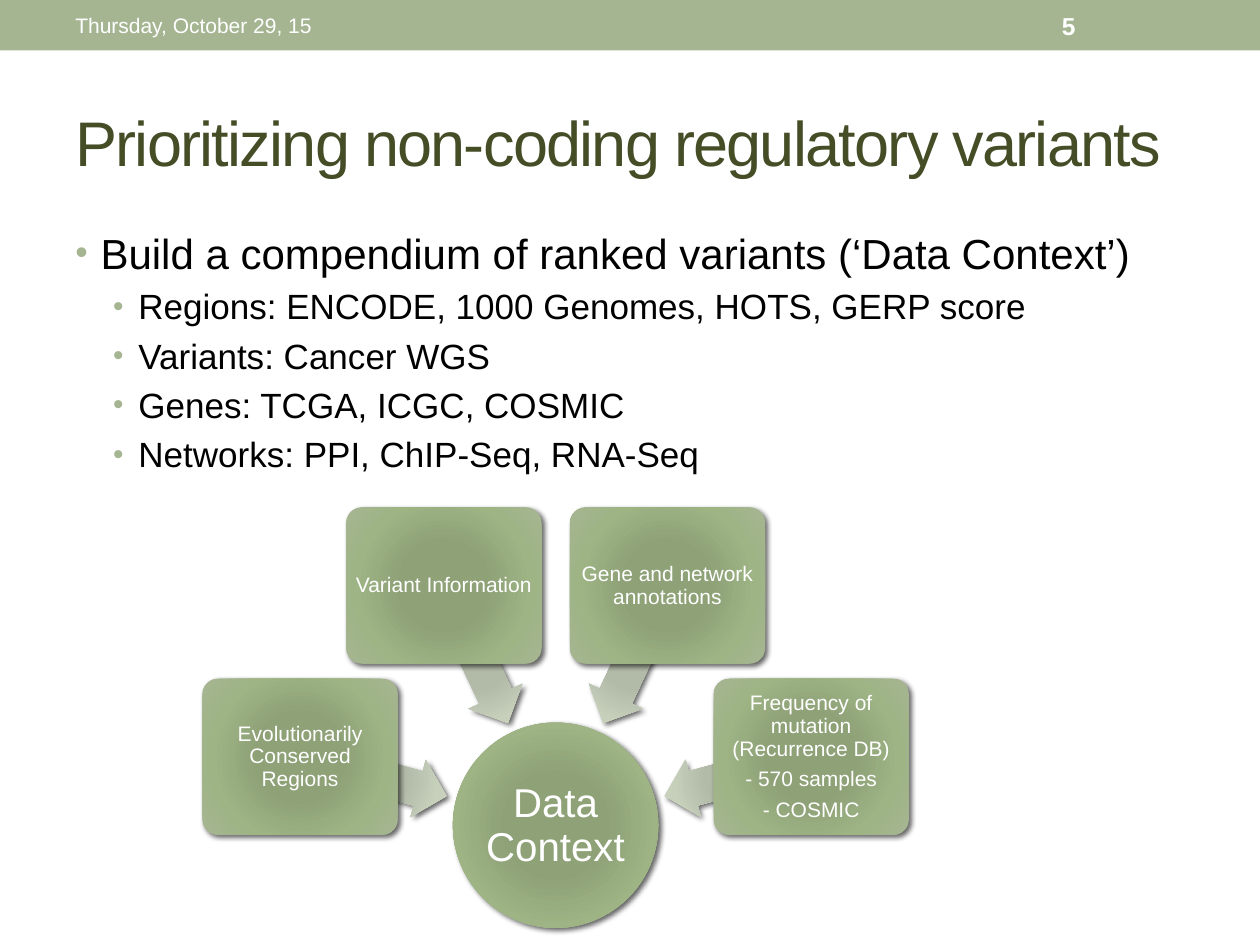
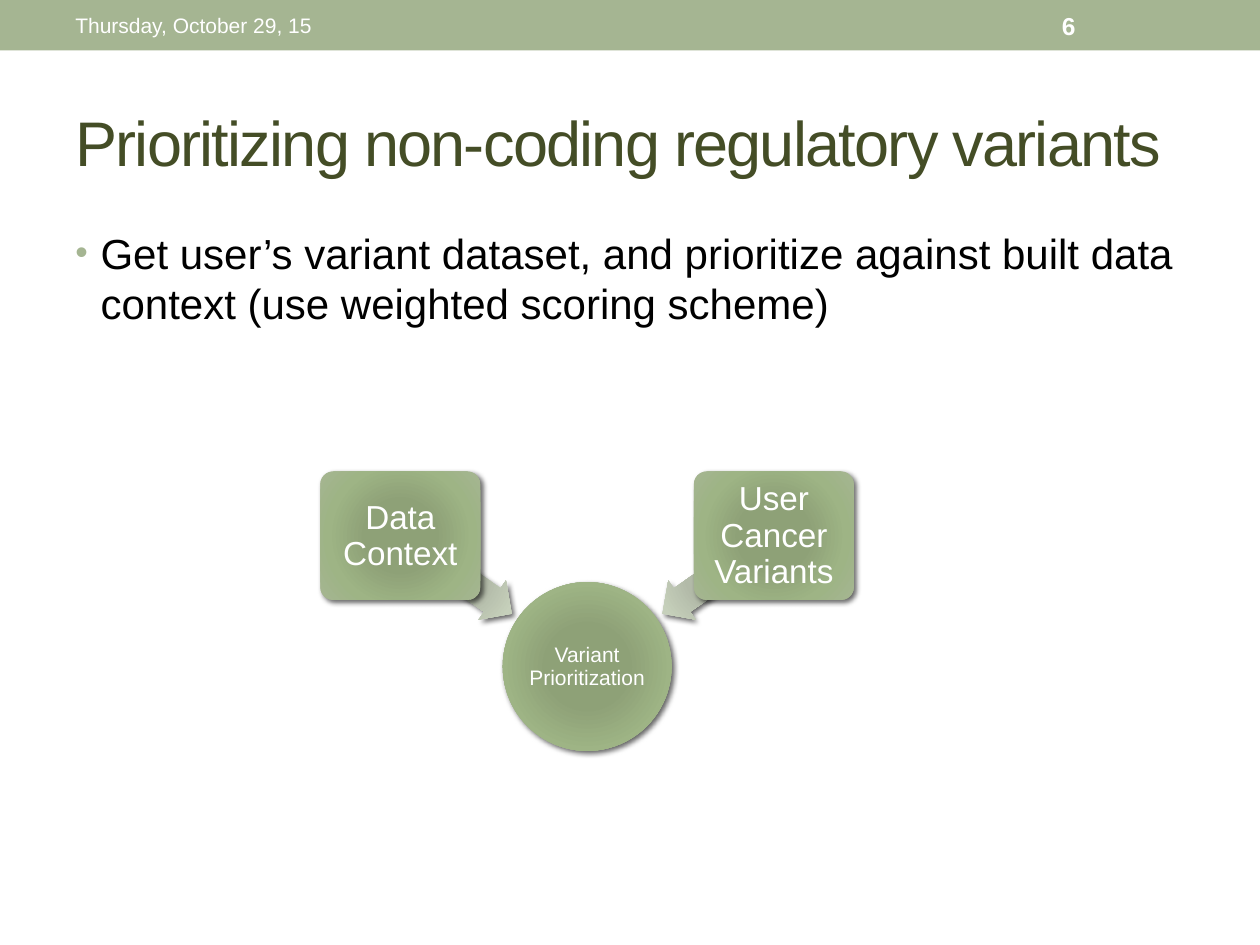
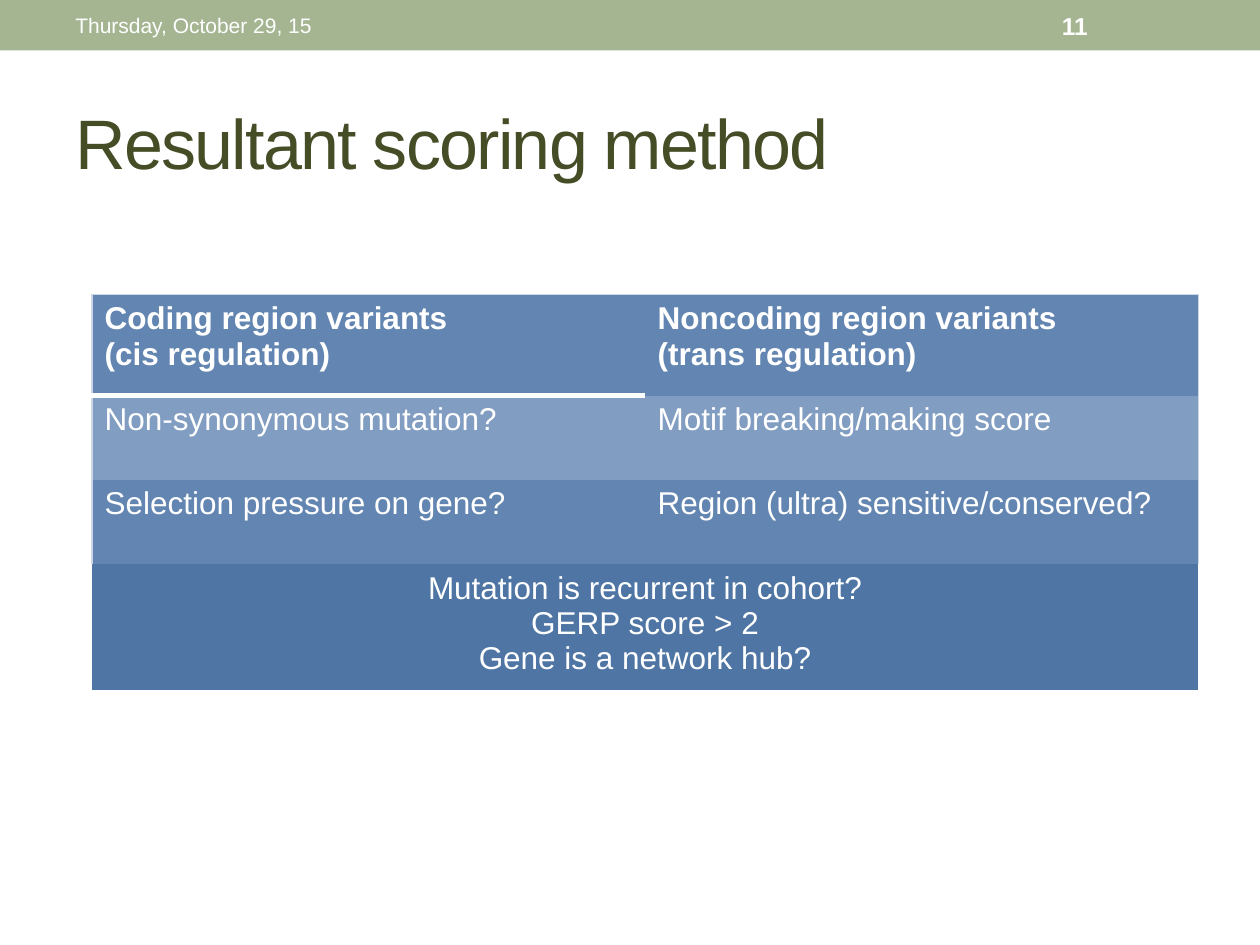
from math import cos, radians, sin

from pptx import Presentation
from pptx.dml.color import RGBColor
from pptx.enum.shapes import MSO_SHAPE
from pptx.enum.text import MSO_ANCHOR, PP_ALIGN
from pptx.oxml import parse_xml
from pptx.oxml.ns import nsdecls
from pptx.util import Inches, Pt

NODE_STOPS = [(0, "8EA276"), (34, "8EA177"), (70, "9EB485"), (100, "A5B592")]
ARROW_STOPS = [(0, "B2BBA7"), (34, "B2BAA8"), (70, "C6D0BB"), (100, "CFD7C7")]
NO_TABLE_STYLE = "{2D5ABB26-0587-4C30-8999-92F81FD0307C}"


def color(value):
    return RGBColor.from_string(value)


def element(xml):
    tag = xml[1:].split()[0].split(">")[0]
    return parse_xml(xml.replace(f"<{tag}", f"<{tag} {nsdecls('a')}", 1))


class Deck:
    FONT = "Arial"
    GREEN = "A5B592"
    OLIVE = "444D26"
    WHITE = "FFFFFF"
    BLACK = "000000"
    EDGE = "CDD6E3"
    LINE_HEIGHT = 1.21
    DATE = "Thursday, October 29, 15"

    def __init__(self):
        self.presentation = Presentation()
        self.presentation.slide_width = Inches(10)
        self.presentation.slide_height = Inches(7.5)
        self.slide = None

    def add_slide(self, number, title, title_size=36):
        layout = self.presentation.slide_layouts[6]
        self.slide = self.presentation.slides.add_slide(layout)
        band = self.shape(MSO_SHAPE.RECTANGLE, 0, 0, 10, 0.4)
        band.fill.solid()
        band.fill.fore_color.rgb = color(self.GREEN)
        self.label(0.5, 0.58, 9, 1.08, title, title_size, self.OLIVE, spacing=-100)
        self.label(0.5, 0.02, 3.17, 0.36, self.DATE, 12)
        self.label(8.33, 0.02, 1.17, 0.36, number, 14, bold=True)

    def shape(self, kind, left, top, width, height):
        shape = self.slide.shapes.add_shape(
            kind, Inches(left), Inches(top), Inches(width), Inches(height))
        shape.shadow.inherit = False
        shape.line.fill.background()
        return shape

    def text_box(self, left, top, width, height, anchor):
        box = self.slide.shapes.add_textbox(
            Inches(left), Inches(top), Inches(width), Inches(height))
        box.text_frame.word_wrap = True
        box.text_frame.vertical_anchor = anchor
        return box.text_frame

    def styled_run(self, paragraph, text, size, text_color=WHITE, bold=False):
        run = paragraph.add_run()
        run.text = text
        run.font.color.rgb = color(text_color)
        formats = {"name": self.FONT, "size": Pt(size), "bold": bold}
        for name, value in formats.items():
            setattr(run.font, name, value)
        return run

    def paragraphs(self, frame, texts):
        for index, text in enumerate(texts):
            yield frame.add_paragraph() if index else frame.paragraphs[0], text

    def label(self, left, top, width, height, text, size,
              text_color=WHITE, bold=False, spacing=0):
        frame = self.text_box(left, top, width, height, MSO_ANCHOR.MIDDLE)
        paragraph = frame.paragraphs[0]
        paragraph.line_spacing = Pt(size * self.LINE_HEIGHT)
        run = self.styled_run(paragraph, text, size, text_color, bold)
        if spacing:
            run.font._element.set("spc", str(spacing))

    def bullets(self, items):
        frame = self.text_box(0.5, 1.75, 9, 5.33, MSO_ANCHOR.TOP)
        for index, (paragraph, (level, text)) in enumerate(self.paragraphs(frame, items)):
            size, indent = ((24, 0.2), (20, 0.5))[level]
            paragraph.level = level
            paragraph.line_spacing = Pt(size * self.LINE_HEIGHT)
            if index:
                paragraph.space_before = Pt(size * 0.2)
            properties = paragraph._p.get_or_add_pPr()
            properties.set("marL", str(Inches(indent)))
            properties.set("indent", str(Inches(-0.2)))
            for xml in (f'<a:buClr><a:srgbClr val="{self.GREEN}"/></a:buClr>',
                        '<a:buSzPct val="85000"/>',
                        f'<a:buFont typeface="{self.FONT}"/>',
                        '<a:buChar char="•"/>'):
                properties.append(element(xml))
            self.styled_run(paragraph, text, size, self.BLACK)

    def glossy(self, kind, center, width, height, stops):
        x, y = center
        shape = self.shape(kind, x - width / 2, y - height / 2, width, height)
        stop_xml = "".join(
            f'<a:gs pos="{position * 1000}"><a:srgbClr val="{value}"/></a:gs>'
            for position, value in stops)
        properties = shape._element.spPr
        properties.find("{*}ln").addprevious(element(
            f'<a:gradFill rotWithShape="1"><a:gsLst>{stop_xml}</a:gsLst>'
            '<a:path path="circle"><a:fillToRect l="100000" t="100000" '
            'r="100000" b="100000"/></a:path></a:gradFill>'))
        properties.find("{*}effectLst").append(element(
            f'<a:outerShdw blurRad="{Pt(3)}" dist="{Pt(2)}" dir="2700000" '
            'algn="tl" rotWithShape="0"><a:srgbClr val="000000">'
            '<a:alpha val="60000"/></a:srgbClr></a:outerShdw>'))
        return shape

    def node(self, kind, center, width, height, lines, size, inset):
        shape = self.glossy(kind, center, width, height, NODE_STOPS)
        if kind == MSO_SHAPE.ROUNDED_RECTANGLE:
            shape.adjustments[0] = 0.1
        frame = shape.text_frame
        formats = {"word_wrap": True, "vertical_anchor": MSO_ANCHOR.MIDDLE}
        formats |= {f"margin_{side}": Inches(inset)
                    for side in ("left", "top", "right", "bottom")}
        for name, value in formats.items():
            setattr(frame, name, value)
        for paragraph, text in self.paragraphs(frame, lines):
            paragraph.alignment = PP_ALIGN.CENTER
            paragraph.line_spacing = Pt(size * self.LINE_HEIGHT * 0.9)
            paragraph.space_after = Pt(size * 0.35)
            self.styled_run(paragraph, text, size)

    def converging(self, hub, diameter, hub_text, hub_size,
                   box, box_size, box_radius, arrow, arrow_radius, sources):
        def around(angle, radius):
            turn = radians(angle)
            return hub[0] + radius * cos(turn), hub[1] + radius * sin(turn)

        self.node(MSO_SHAPE.OVAL, hub, diameter, diameter, [hub_text], hub_size, 0.01)
        for angle, lines in sources:
            pointer = self.glossy(
                MSO_SHAPE.LEFT_ARROW, around(angle, arrow_radius), *arrow, ARROW_STOPS)
            pointer.rotation = angle
            pointer.adjustments[0] = 0.6
            pointer.adjustments[1] = 0.5
            self.node(MSO_SHAPE.ROUNDED_RECTANGLE, around(angle, box_radius),
                      *box, lines, box_size, 0.03)

    def borders(self, cell, edges):
        properties = cell._tc.get_or_add_tcPr()
        chosen = [side for side in "LRTB" if side in edges]
        for index, side in enumerate(chosen):
            line_color, width = edges[side]
            properties.insert(index, element(
                f'<a:ln{side} w="{Pt(width)}"><a:solidFill>'
                f'<a:srgbClr val="{line_color}"/></a:solidFill></a:ln{side}>'))

    def table(self, left, top, column_width, rows):
        column_count = len(rows[0][2])
        total_height = sum(height for height, _, _ in rows)
        table = self.slide.shapes.add_table(
            len(rows), column_count, Inches(left), Inches(top),
            Inches(column_width * column_count), Inches(total_height)).table
        table._tbl.tblPr.find("{*}tableStyleId").text = NO_TABLE_STYLE
        for column in table.columns:
            column.width = Inches(column_width)
        thin = (self.EDGE, 0.75)
        for row_index, (height, fill, texts) in enumerate(rows):
            table.rows[row_index].height = Inches(height)
            merged = len(texts) < column_count
            if merged:
                table.cell(row_index, 0).merge(table.cell(row_index, column_count - 1))
            for column_index, lines in enumerate(texts):
                cell = table.cell(row_index, column_index)
                cell.fill.solid()
                cell.fill.fore_color.rgb = color(fill)
                for paragraph, text in self.paragraphs(cell.text_frame, lines):
                    if merged:
                        paragraph.alignment = PP_ALIGN.CENTER
                    self.styled_run(paragraph, text, 18, bold=row_index == 0)
                edges = {}
                if not merged:
                    edges["R" if column_index else "L"] = thin
                if row_index == 0:
                    edges["T"] = thin
                    if column_index == 0:
                        edges["B"] = (self.WHITE, 3.5)
                self.borders(cell, edges)


def main():
    deck = Deck()
    prioritizing = "Prioritizing non-coding regulatory variants"

    deck.add_slide("5", prioritizing)
    deck.bullets([
        (0, "Build a compendium of ranked variants (‘Data Context’)"),
        (1, "Regions: ENCODE, 1000 Genomes, HOTS, GERP score"),
        (1, "Variants: Cancer WGS"),
        (1, "Genes: TCGA, ICGC, COSMIC"),
        (1, "Networks: PPI, ChIP-Seq, RNA-Seq"),
    ])
    deck.converging(
        hub=(4.41, 6.55), diameter=1.63, hub_text="Data Context", hub_size=23,
        box=(1.55, 1.24), box_size=12, box_radius=2.1,
        arrow=(1.21, 0.47), arrow_radius=1.5,
        sources=[
            (195, ["Evolutionarily Conserved Regions"]),
            (245, ["Variant Information"]),
            (295, ["Gene and network annotations"]),
            (345, ["Frequency of mutation (Recurrence DB)", "- 570 samples", "- COSMIC"]),
        ])

    deck.add_slide("6", prioritizing)
    deck.bullets([(0, "Get user’s variant dataset, and prioritize against built data "
                      "context (use weighted scoring scheme)")])
    deck.converging(
        hub=(4.66, 5.29), diameter=1.34, hub_text="Variant Prioritization", hub_size=12,
        box=(1.27, 1.02), box_size=19, box_radius=1.81,
        arrow=(1.08, 0.38), arrow_radius=1.27,
        sources=[(215, ["Data Context"]), (325, ["User Cancer Variants"])])

    deck.add_slide("11", "Resultant scoring method", 40)
    deck.table(0.73, 2.34, 4.39, [
        (0.8, "6285B1", [["Coding region variants", "(cis regulation)"],
                         ["Noncoding region variants", "(trans regulation)"]]),
        (0.67, "819DC1", [["Non-synonymous mutation?"], ["Motif breaking/making score"]]),
        (0.67, "6285B1", [["Selection pressure on gene?"],
                          ["Region (ultra) sensitive/conserved?"]]),
        (1, "4E75A3", [["Mutation is recurrent in cohort?", "GERP score > 2",
                        "Gene is a network hub?"]]),
    ])

    deck.presentation.save("out.pptx")


if __name__ == "__main__":
    main()
